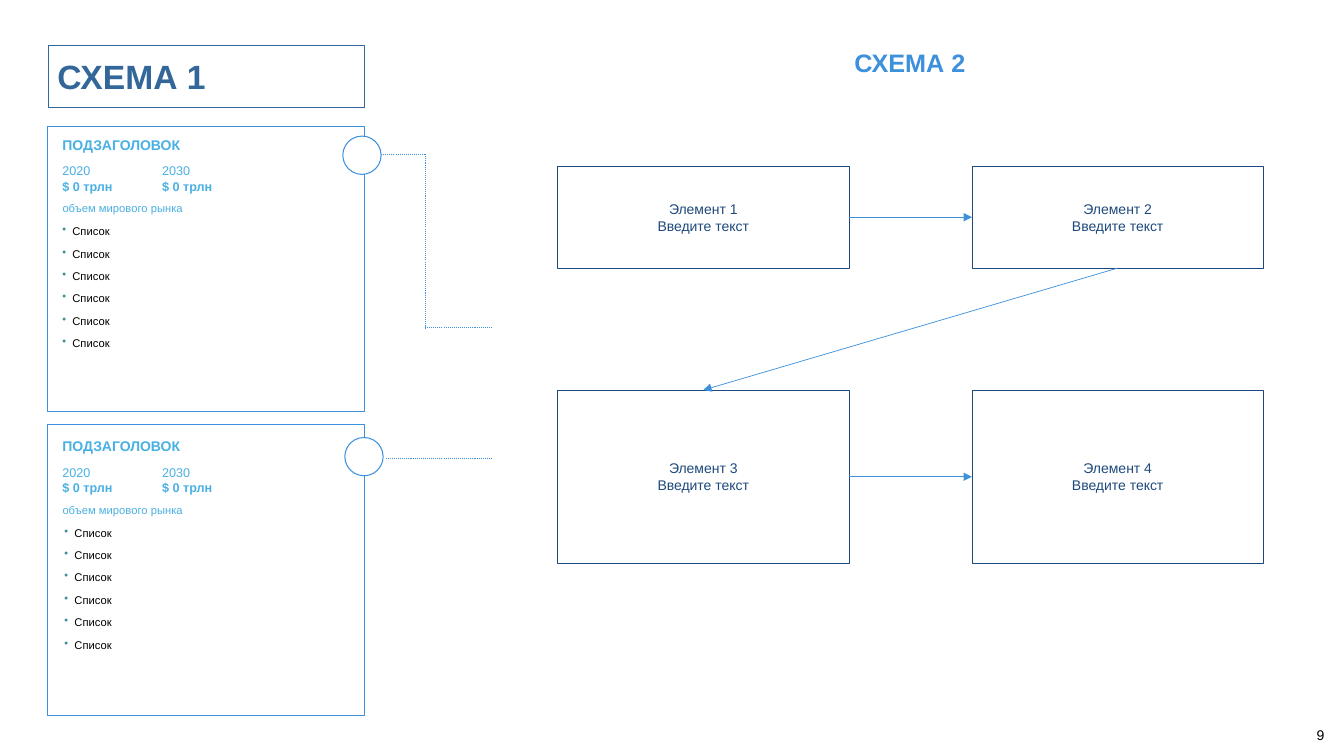
from lxml import etree
from pptx import Presentation
from pptx.dml.color import RGBColor
from pptx.enum.dml import MSO_LINE
from pptx.enum.shapes import MSO_CONNECTOR, MSO_SHAPE
from pptx.enum.text import MSO_ANCHOR, MSO_AUTO_SIZE, PP_ALIGN
from pptx.oxml.ns import qn
from pptx.util import Inches, Pt

COLORS = {"title": "336699", "accent": "3C90DC", "market": "49B0E3", "element": "1F497D",
          "bullet": "3B9195", "text": "000000", "white": "FFFFFF"}

prs = Presentation()
prs.slide_width, prs.slide_height = Inches(13.33), Inches(7.5)
slide = prs.slides.add_slide(prs.slide_layouts[5])
shapes = slide.shapes


def write(shape, lines, size, color, inset=(0.1, 0.1), bold=(False,),
          align=PP_ALIGN.LEFT, anchor=MSO_ANCHOR.TOP):
    """Fill a shape with one paragraph per line; bold holds one flag per line."""
    frame = shape.text_frame
    frame.text = "\n".join(lines)
    side, top = map(Inches, inset)
    settings = {"word_wrap": True, "auto_size": MSO_AUTO_SIZE.NONE, "vertical_anchor": anchor,
                "margin_left": side, "margin_right": side,
                "margin_top": top, "margin_bottom": top}
    for name, value in settings.items():
        setattr(frame, name, value)
    for index, paragraph in enumerate(frame.paragraphs):
        paragraph.alignment = align
        font = paragraph.runs[0].font
        for name, value in {"name": "Arial", "size": Pt(size),
                            "bold": bold[index % len(bold)]}.items():
            setattr(font, name, value)
        font.color.rgb = RGBColor.from_string(COLORS[color])
    return frame


def outline(kind, box, color, width, fill=None):
    shape = shapes.add_shape(kind, *map(Inches, box))
    shape.shadow.inherit = False
    if fill:
        shape.fill.solid()
        shape.fill.fore_color.rgb = RGBColor.from_string(COLORS[fill])
    else:
        shape.fill.background()
    shape.line.color.rgb = RGBColor.from_string(COLORS[color])
    shape.line.width = Pt(width)
    return shape


# Scheme 1: heading
scheme1 = shapes.title
scheme1.left, scheme1.top, scheme1.width, scheme1.height = map(Inches, (0.47, 0.45, 3.14, 0.61))
write(scheme1, ["СХЕМА 1"], 24, "title", bold=(True,))
outline(MSO_SHAPE.RECTANGLE, (0.48, 0.45, 3.13, 0.62), "title", 0.5)

# Scheme 1: market cards (card top, card height, text top, list left)
for card_top, card_height, text_top, list_left in [(1.25, 2.83, 1.31, 0.33),
                                                   (4.21, 2.89, 4.3, 0.35)]:
    outline(MSO_SHAPE.RECTANGLE, (0.47, card_top, 3.14, card_height), "accent", 0.5)
    subtitle = shapes.add_textbox(*map(Inches, (0.55, text_top, 1.76, 0.4)))
    write(subtitle, ["ПОДЗАГОЛОВОК"], 10, "market", (0.07, 0.04), (True,))
    for year, left in [("2020", 0.52), ("2030", 1.51)]:
        volume = shapes.add_textbox(*map(Inches, (left, text_top + 0.21, 1.1, 0.5)))
        write(volume, [year, "$ 0 трлн"], 9, "market", bold=(False, True))
    caption = shapes.add_textbox(*map(Inches, (0.55, text_top + 0.65, 1.71, 0.61)))
    write(caption, ["объем мирового рынка"], 8, "market", (0.07, 0.04))

    points = shapes.add_textbox(*map(Inches, (list_left, text_top + 0.84, 3.46, 1.44)))
    for index, point in enumerate(write(points, ["Список"] * 6, 8, "text").paragraphs):
        point.line_spacing = Pt(8)
        point.space_before = Pt(8 if index else 0)
        props = point._p.get_or_add_pPr()
        props.set("marL", str(Inches(0.29)))
        props.set("indent", str(Inches(-0.1)))
        bullet_color = etree.SubElement(props, qn("a:buClr"))
        etree.SubElement(bullet_color, qn("a:srgbClr"), val=COLORS["bullet"])
        etree.SubElement(props, qn("a:buChar"), char="•")

# Scheme 2: heading and elements
scheme2 = shapes.add_textbox(*map(Inches, (5.8, 0.37, 6.45, 0.5)))
write(scheme2, ["СХЕМА 2"], 18, "accent", bold=(True,), align=PP_ALIGN.CENTER)

elements = []
for top, height in [(1.65, 1.01), (3.87, 1.72)]:
    for left in (5.53, 9.64):
        element = outline(MSO_SHAPE.RECTANGLE, (left, top, 2.89, height), "element", 0.5)
        elements.append(element)
        write(element, [f"Элемент {len(elements)}", "Введите текст"], 10, "element",
              (0.07, 0.07), align=PP_ALIGN.CENTER, anchor=MSO_ANCHOR.MIDDLE)

# Dotted leaders of the cards, then the arrows from element to element
leaders = [(4.22, 1.53, 4.22, 3.25), (4.22, 1.53, 3.77, 1.53),
           (4.88, 3.25, 4.22, 3.25), (4.88, 4.55, 3.82, 4.55)]
lines = []
for ends in leaders:
    leader = shapes.add_connector(MSO_CONNECTOR.STRAIGHT, *map(Inches, ends))
    leader.line.width = Pt(0.75)
    leader.line.dash_style = MSO_LINE.ROUND_DOT
    lines.append(leader)

for start, start_side, end, end_side in [(0, 3, 1, 1), (1, 2, 2, 0), (2, 3, 3, 1)]:
    arrow = shapes.add_connector(MSO_CONNECTOR.STRAIGHT, 0, 0, 0, 0)
    arrow.begin_connect(elements[start], start_side)
    arrow.end_connect(elements[end], end_side)
    arrow.line.width = Pt(0.5)
    lines.append(arrow)

for line in lines:
    line.line.color.rgb = RGBColor.from_string(COLORS["accent"])
    etree.SubElement(line._element.spPr, qn("a:effectLst"))
for arrow in lines[len(leaders):]:
    etree.SubElement(arrow.line._get_or_add_ln(), qn("a:tailEnd"), type="triangle")

for left, top in [(3.4, 1.35), (3.42, 4.34)]:
    outline(MSO_SHAPE.OVAL, (left, top, 0.38, 0.38), "accent", 0.75, "white")

page_number = shapes.add_textbox(*map(Inches, (12.98, 7.09, 0.34, 0.41)))
write(page_number, ["9"], 10, "text", (0.08, 0.04), anchor=MSO_ANCHOR.MIDDLE)

prs.save("out.pptx")
